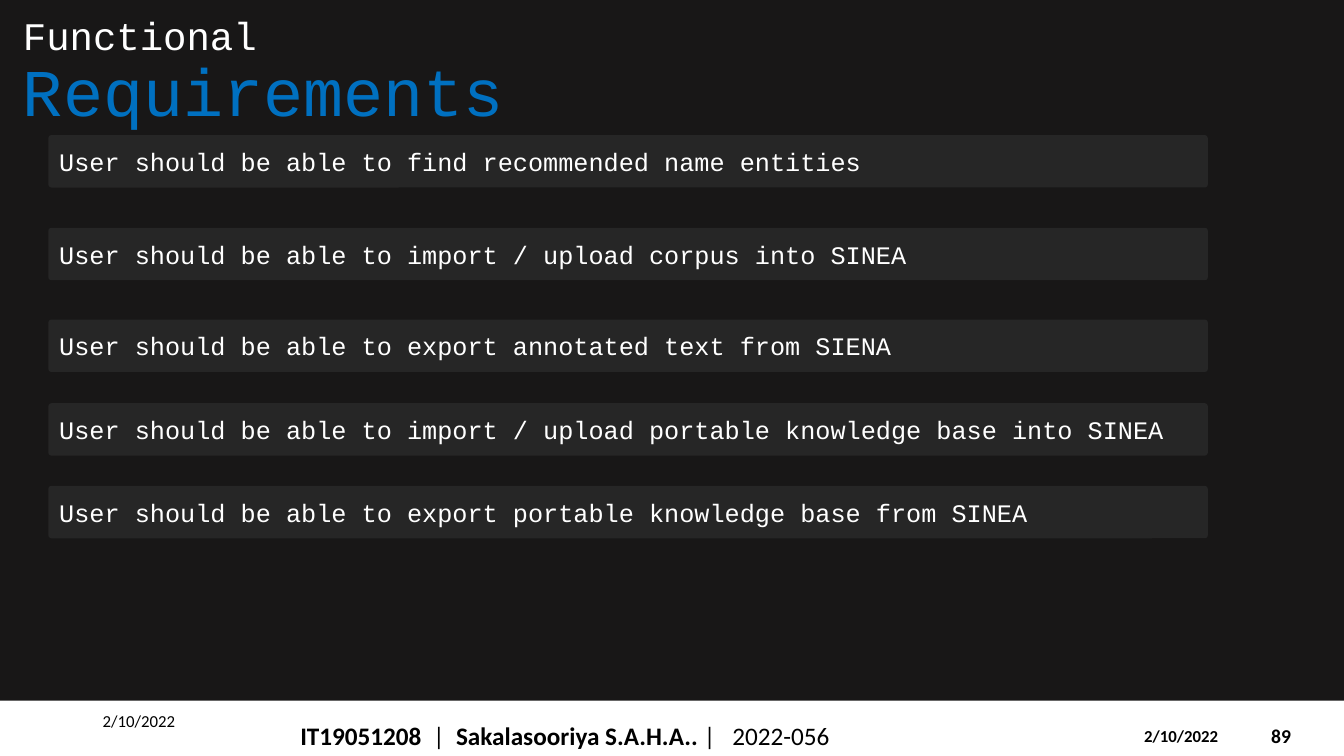
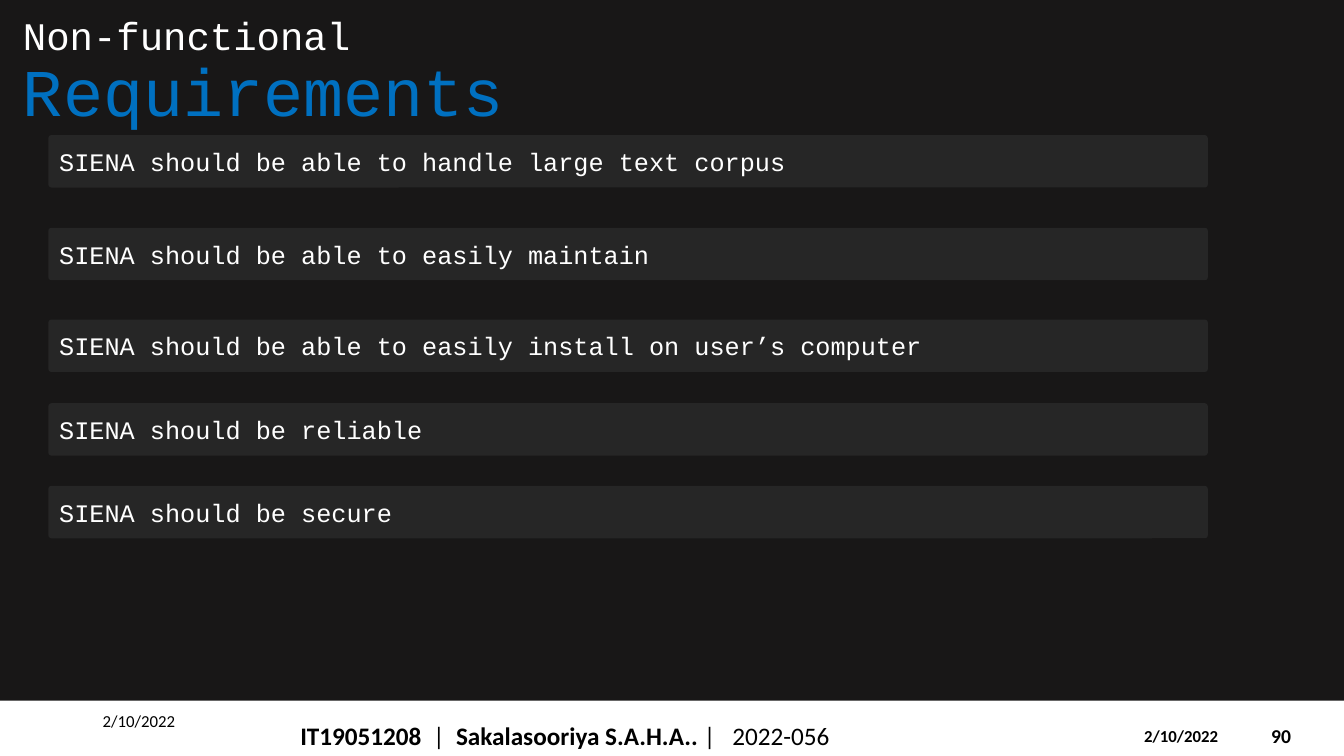
import pptx
import pptx.dml.color
import pptx.enum.shapes
import pptx.enum.text
import pptx.util

PX = 9144  # EMU, 100 px to the inch
WIDTH, HEIGHT = 1333, 750
COLORS = {
    "background": "181717",
    "band": "FFFFFF",
    "card": "262626",
    "light": "FFFFFF",
    "accent": "0070C0",
    "dark": "000000",
}
BODY_FONT, FOOTER_FONT = "Courier New", "Calibri"
CARD_TOPS = (134, 226, 317, 400, 482)
ANCHOR = pptx.enum.text.MSO_ANCHOR
SHAPE = pptx.enum.shapes.MSO_SHAPE
DATE = "2/10/2022"

SLIDES = [
    (89, "Functional", [
        "User should be able to find recommended name entities",
        "User should be able to import / upload corpus into SINEA",
        "User should be able to export annotated text from SIENA",
        "User should be able to import / upload portable knowledge base into SINEA",
        "User should be able to export portable knowledge base from SINEA",
    ]),
    (90, "Non-functional", [
        "SIENA should be able to handle large text corpus",
        "SIENA should be able to easily maintain",
        "SIENA should be able to easily install on user’s computer",
        "SIENA should be reliable",
        "SIENA should be secure",
    ]),
]


def rgb(name):
    return pptx.dml.color.RGBColor.from_string(COLORS[name])


def emu(*lengths):
    return [pptx.util.Emu(n * PX) for n in lengths]


def add_run(p, text, color, **formats):
    r = p.add_run()
    r.text = text
    r.font.color.rgb = rgb(color)
    for name, value in formats.items():
        setattr(r.font, name, value)


def set_frame(sp, anchor):
    """Prepare the text frame and return its first paragraph, left aligned."""
    tf = sp.text_frame
    tf.word_wrap = True
    tf.vertical_anchor = anchor
    p = tf.paragraphs[0]
    p.alignment = pptx.enum.text.PP_ALIGN.LEFT
    return p


def add_text_box(s, box, anchor=ANCHOR.MIDDLE):
    return set_frame(s.shapes.add_textbox(*emu(*box)), anchor)


def add_block(s, kind, box, color):
    sp = s.shapes.add_shape(kind, *emu(*box))
    sp.shadow.inherit = False
    sp.fill.solid()
    sp.fill.fore_color.rgb = rgb(color)
    sp.line.fill.background()
    return sp


def add_title(s, kind):
    p = add_text_box(s, (13, 9, 1150, 126), ANCHOR.BOTTOM)
    p.line_spacing = 0.9
    add_run(p, kind, "light", name=BODY_FONT, size=pptx.util.Pt(27.9))
    p.add_line_break()
    add_run(p, "Requirements", "accent", name=BODY_FONT, size=pptx.util.Pt(47.7))


def add_card(s, top, text):
    sp = add_block(s, SHAPE.ROUNDED_RECTANGLE, (48, top, 1150, 52), "card")
    sp.adjustments[0] = 0.06
    p = set_frame(sp, ANCHOR.MIDDLE)
    add_run(p, text, "light", name=BODY_FONT, size=pptx.util.Pt(18))


def add_footer(s, number):
    add_block(s, SHAPE.RECTANGLE, (0, 695, WIDTH, 55), "band")
    entries = [
        ((1251, 710, 74, 40), 14, [(str(number), True)]),
        ((1125, 715, 117, 30), 12, [(DATE, True)]),
        ((288, 710, 745, 40), 18, [
            ("IT19051208", True), ("  |  ", False),
            ("Sakalasooriya S.A.H.A.. ", True), ("|   2022-056", False)]),
        ((92, 695, 300, 40), 12, [(DATE, False)]),
    ]
    for box, size, runs in entries:
        p = add_text_box(s, box)
        for text, bold in runs:
            add_run(p, text, "dark", name=FOOTER_FONT,
                    size=pptx.util.Pt(size), bold=bold)


def main():
    prs = pptx.Presentation()
    prs.slide_width, prs.slide_height = emu(WIDTH, HEIGHT)
    fill = prs.slide_master.background.fill
    fill.solid()
    fill.fore_color.rgb = rgb("background")
    for number, kind, requirements in SLIDES:
        s = prs.slides.add_slide(prs.slide_layouts[6])
        add_footer(s, number)
        add_title(s, kind)
        for top, text in zip(CARD_TOPS, requirements):
            add_card(s, top, text)
    prs.save("out.pptx")


if __name__ == "__main__":
    main()
